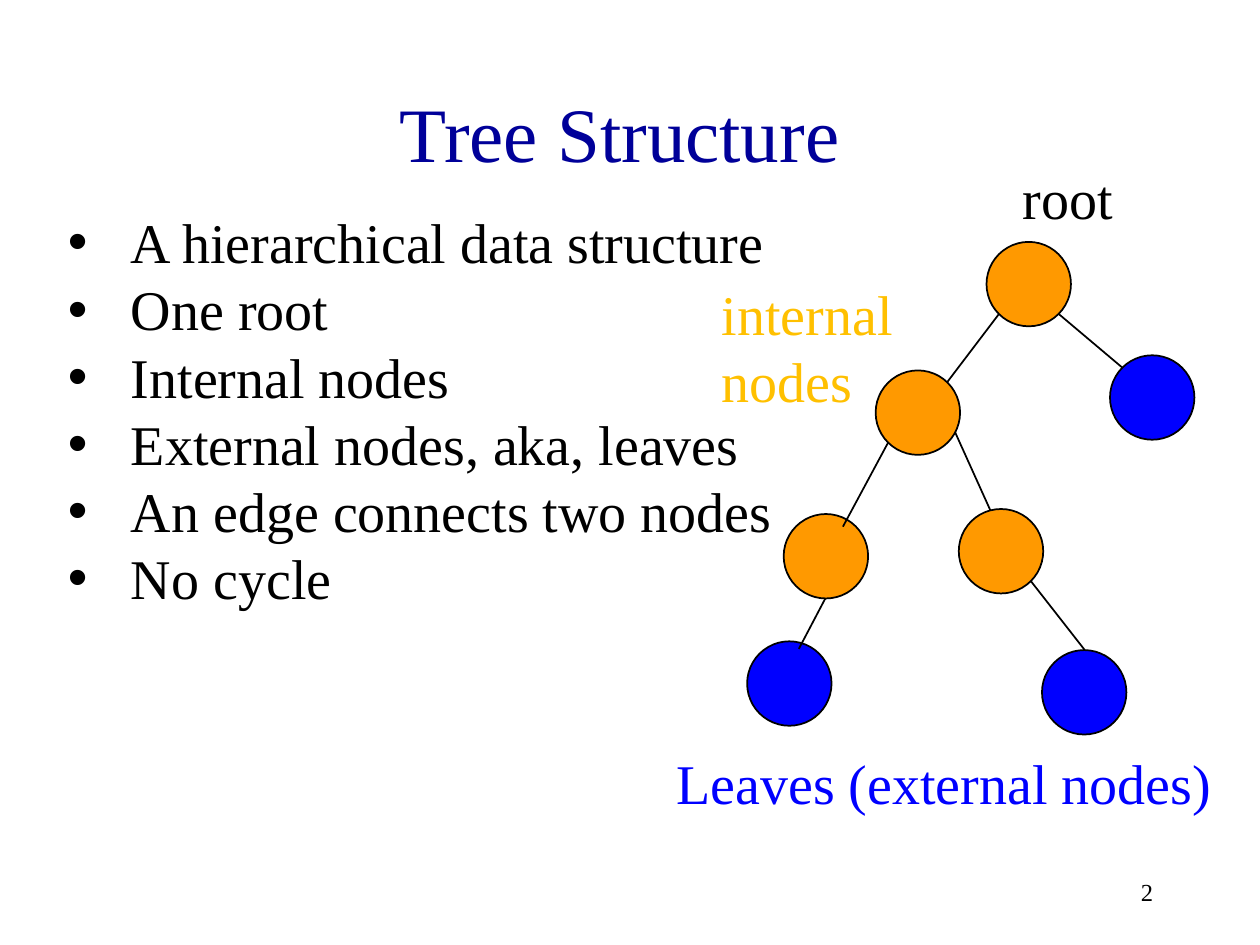
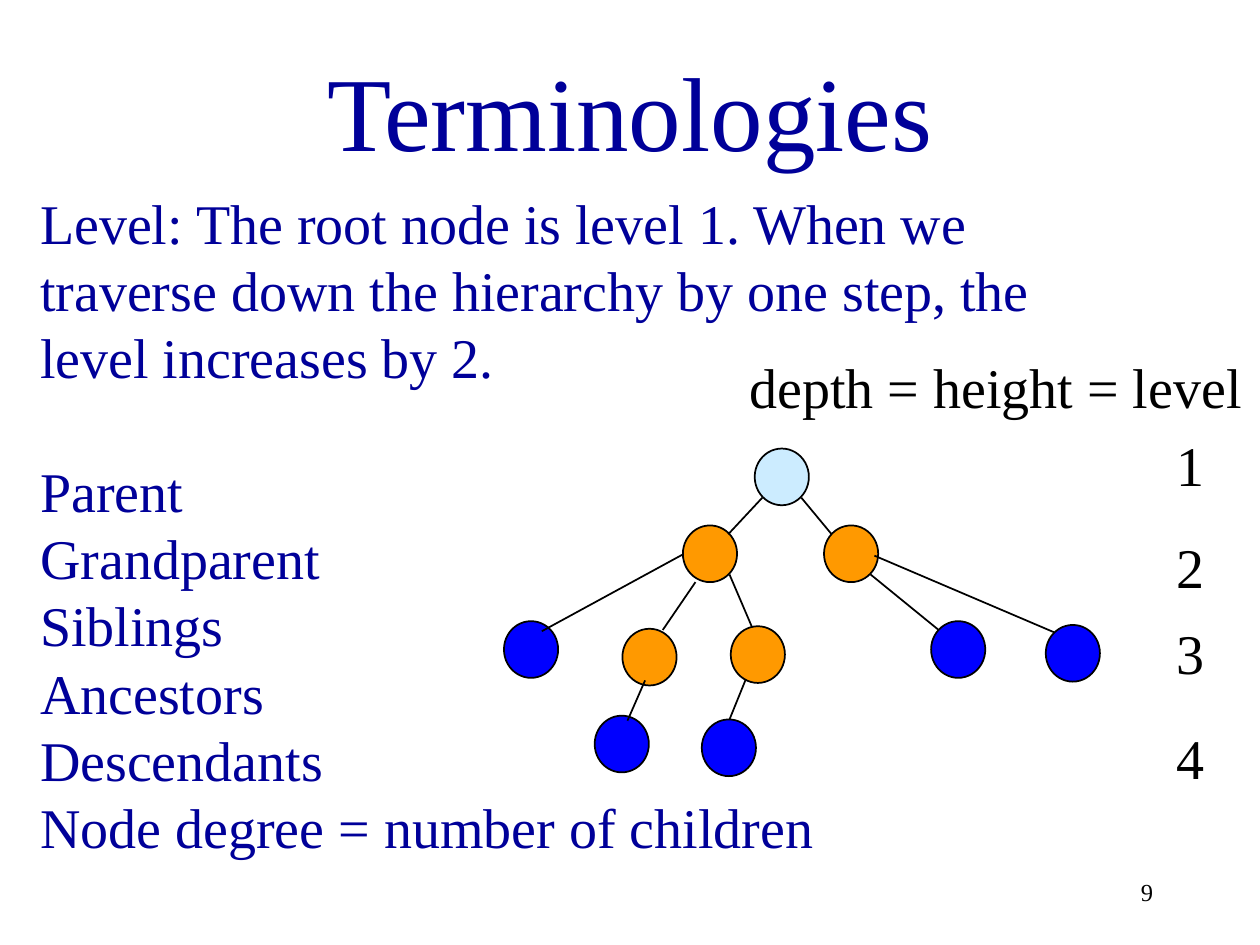
from pptx import Presentation
from pptx.dml.color import RGBColor
from pptx.enum.shapes import MSO_CONNECTOR as Link, MSO_SHAPE as Shape
from pptx.enum.text import MSO_ANCHOR as Anchor, MSO_AUTO_SIZE as Auto, PP_ALIGN as Align
from pptx.oxml.ns import qn
from pptx.util import Emu, Pt
from lxml.etree import SubElement

PX = 9144  # 100 px to the inch
FONT = "Times New Roman"
BLACK = RGBColor(0x00, 0x00, 0x00)
NAVY = RGBColor(0x00, 0x00, 0x99)
BLUE = RGBColor(0x00, 0x00, 0xFF)
ORANGE = RGBColor(0xFF, 0x99, 0x00)
GOLD = RGBColor(0xFF, 0xC0, 0x00)
PALE = RGBColor(0xCC, 0xEC, 0xFF)


def px(*nums):
    return [Emu(num * PX) for num in nums]


def add_text(slide, box, lines, color=BLACK, size=32, align=Align.LEFT,
             anchor=Anchor.TOP, wrap=False):
    """Write one paragraph per line; a box anchored at the top fits its text."""
    frame = slide.shapes.add_textbox(*px(*box)).text_frame
    frame.word_wrap = wrap
    frame.vertical_anchor = anchor
    frame.auto_size = Auto.SHAPE_TO_FIT_TEXT if anchor == Anchor.TOP else Auto.NONE
    frame.text = "\n".join(lines)
    for para in frame.paragraphs:
        para.alignment = align
        para.font.name = FONT
        para.font.size = Pt(size)
        para.font.color.rgb = color
    return frame


def add_title(slide, box, text, size, anchor):
    add_text(slide, box, [text], NAVY, size, Align.CENTER, anchor, True)


def add_page(slide, num):
    add_text(slide, (717, 683, 208, 50), [str(num)], size=14,
             align=Align.RIGHT, anchor=Anchor.MIDDLE, wrap=True)


def add_list(slide, box, lines):
    for para in add_text(slide, box, lines).paragraphs:
        props = para._p.get_or_add_pPr()
        props.set("marL", str(50 * PX))
        props.set("indent", str(-50 * PX))
        SubElement(props, qn("a:buFont"), typeface="Arial")
        SubElement(props, qn("a:buChar"), char="•")


def add_tree(slide, left, top, size, nodes, edges):
    """Place nodes (color: corners) and edges (x1, y1, x2, y2) from left, top."""
    for color, spots in nodes.items():
        for x, y in spots:
            node = slide.shapes.add_shape(Shape.OVAL, *px(left + x, top + y, *size))
            node.shadow.inherit = False
            node.fill.solid()
            node.fill.fore_color.rgb = color
            node.line.color.rgb = BLACK
            node.line.width = Pt(1)
    for x1, y1, x2, y2 in edges:
        edge = slide.shapes.add_connector(
            Link.STRAIGHT, *px(left + x1, top + y1, left + x2, top + y2))
        edge.line.color.rgb = BLACK
        edge.line.width = Pt(1)
        SubElement(edge._element.spPr, qn("a:effectLst"))


def add_levels(slide, left, tops):
    for level, top in enumerate(tops, 1):
        add_text(slide, (left, top, 43, 64), [str(level)])


def draw_intro(slide):
    add_title(slide, (67, 42, 850, 125), "Tree Structure", 44, Anchor.MIDDLE)
    add_tree(
        slide, 593, 192, (67, 67),
        {ORANGE: [(190, 0), (102, 102), (29, 216), (168, 212)],
         BLUE: [(288, 90), (0, 317), (234, 324)]},
        [(200, 57, 159, 111), (112, 159, 76, 226), (62, 283, 41, 323),
         (247, 57, 298, 100), (165, 151, 193, 213), (225, 269, 268, 324)])
    add_text(slide, (802, 125, 92, 64), ["root"])
    add_text(slide, (527, 589, 533, 64), ["Leaves (external nodes)"], BLUE, wrap=True)
    add_text(slide, (563, 217, 169, 118), ["internal", "nodes"], GOLD)
    add_list(slide, (44, 160, 585, 333), [
        "A hierarchical data structure", "One root", "Internal nodes",
        "External nodes, aka, leaves", "An edge connects two nodes", "No cycle"])
    add_page(slide, 2)


def draw_terms(slide):
    frame = add_text(slide, (22, 248, 893, 336), [
        "Level: The root node is level 1. When we traverse down the hierarchy "
        "by one step, the level increases by 2.",
        "Parent", "Grandparent", "Siblings", "Ancestors", "Descendants",
        "Node degree = number of children"], NAVY, anchor=Anchor.MIDDLE, wrap=True)
    frame.paragraphs[1].space_before = Pt(38)
    add_title(slide, (75, 17, 850, 125), "Terminologies", 60, Anchor.BOTTOM)
    add_tree(
        slide, 400, 356, (43, 45),
        {PALE: [(199, 0)],
         ORANGE: [(142, 61), (254, 61), (94, 143), (180, 141)],
         BLUE: [(0, 137), (339, 137), (430, 140), (72, 212), (157, 215)]},
        [(205, 39, 178, 68), (236, 39, 260, 68), (142, 84, 30, 145),
         (152, 106, 126, 144), (179, 100, 197, 142), (291, 100, 345, 144),
         (294, 85, 437, 146), (112, 184, 98, 216), (192, 183, 179, 215)])
    add_levels(slide, 924, (337, 418, 486, 569))
    add_text(slide, (585, 275, 415, 64), ["depth = height = level"])
    add_page(slide, 9)


def main():
    deck = Presentation()
    deck.slide_width, deck.slide_height = px(1000, 750)
    for draw in (draw_intro, draw_terms):
        draw(deck.slides.add_slide(deck.slide_layouts[6]))
    deck.save("out.pptx")


if __name__ == "__main__":
    main()
